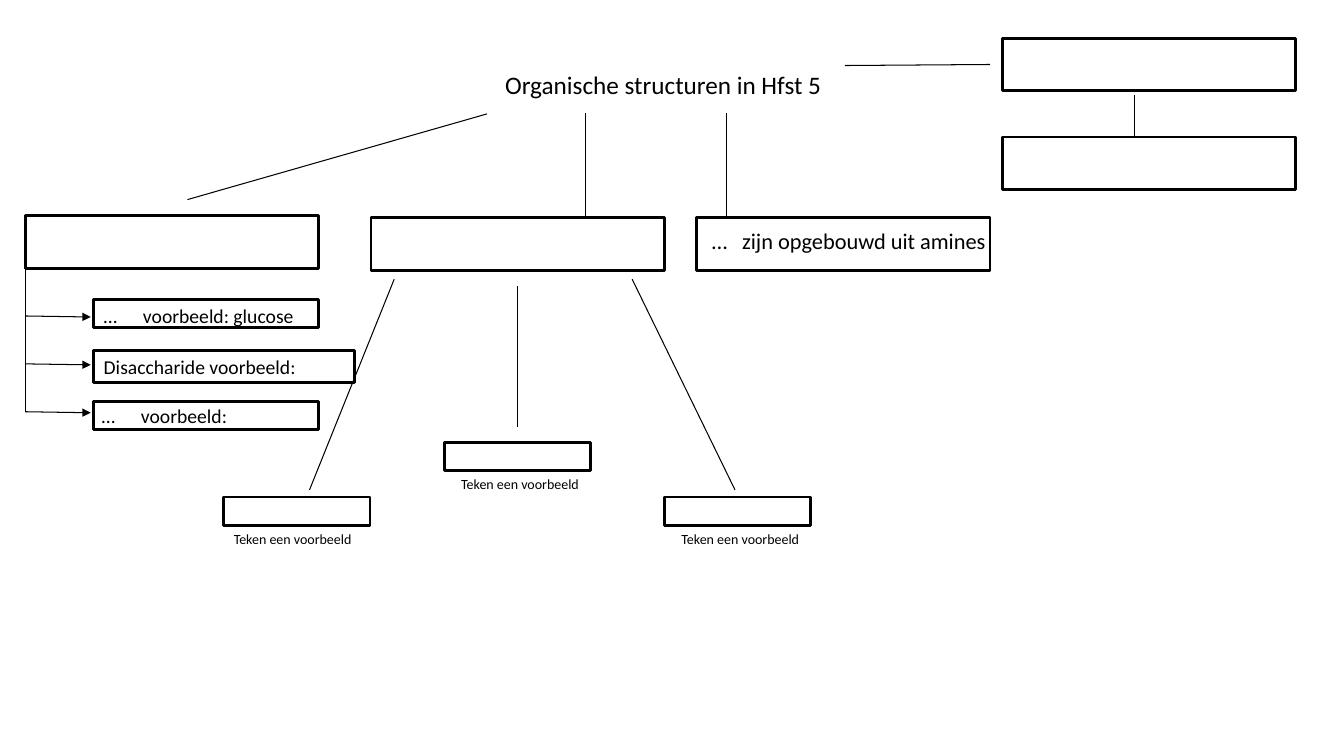
from lxml import etree
from pptx import Presentation
from pptx.dml.color import RGBColor
from pptx.enum.shapes import MSO_CONNECTOR, MSO_SHAPE
from pptx.enum.text import MSO_ANCHOR, MSO_AUTO_SIZE, PP_ALIGN
from pptx.oxml.ns import qn
from pptx.util import Inches, Pt

STRAIGHT = MSO_CONNECTOR.STRAIGHT
RECT = MSO_SHAPE.RECTANGLE
TOP = MSO_ANCHOR.TOP
NO_FIT = MSO_AUTO_SIZE.NONE
LEFT = PP_ALIGN.LEFT
BLACK = "000000"
BOX_W, BOX_H = 2.91, 0.52
SMALL_W, SMALL_H = 1.45, 0.28


def rgb(value):
    return RGBColor.from_string(value)


def set_text(sp, text, size, tab=None, inset=0.1):
    tf = sp.text_frame
    frame = {"word_wrap": False, "auto_size": NO_FIT, "vertical_anchor": TOP,
             "margin_left": Inches(inset), "margin_right": Inches(0.1),
             "margin_top": Inches(0.05), "margin_bottom": Inches(0.05)}
    for name, value in frame.items():
        setattr(tf, name, value)
    p = tf.paragraphs[0]
    p.alignment = LEFT
    p.line_spacing = 1.0
    if tab:
        tabs = etree.SubElement(p._p.get_or_add_pPr(), qn("a:tabLst"))
        etree.SubElement(tabs, qn("a:tab"), pos=str(Inches(tab)), algn="l")
    r = p.add_run()
    r.text = text
    for name, value in {"name": "Calibri", "size": Pt(size), "bold": False}.items():
        setattr(r.font, name, value)
    r.font.color.rgb = rgb(BLACK)


def add_label(s, box, text, size, tab=None, inset=0.1):
    sp = s.shapes.add_textbox(*map(Inches, box))
    set_text(sp, text, size, tab, inset)


def add_box(s, x, y, w=BOX_W, h=BOX_H):
    sp = s.shapes.add_shape(RECT, *map(Inches, (x, y, w, h)))
    sp.shadow.inherit = False
    sp.fill.background()
    sp.line.color.rgb = rgb(BLACK)
    sp.line.width = Pt(2)


def add_line(s, x1, y1, x2, y2, arrow=False):
    c = s.shapes.add_connector(STRAIGHT, *map(Inches, (x1, y1, x2, y2)))
    c.line.color.rgb = rgb(BLACK)
    c.line.width = Pt(0.75)
    if arrow:
        etree.SubElement(c.line._get_or_add_ln(), qn("a:tailEnd"), type="triangle")
    etree.SubElement(c._element.spPr, qn("a:effectLst"))


def add_title(s, x, y, w, h):
    sp = s.shapes.title
    sp.left, sp.top, sp.width, sp.height = map(Inches, (x, y, w, h))
    set_text(sp, "Organische structuren in Hfst 5", 18)
    add_line(s, x - 0.08, y + 0.49, 1.86, 1.98)
    for dx in (0.9, 2.3):
        add_line(s, x + dx, y + 0.48, x + dx, y + 1.5)
    add_line(s, x + w + 0.12, y + 0.01, 9.82, y)


def add_right_branch(s, x, y):
    gap = 0.46
    for i in range(2):
        add_box(s, x, y + i * (BOX_H + gap))
    add_line(s, x + 1.31, y + BOX_H + 0.04, x + 1.31, y + BOX_H + gap)


def add_amine_branch(s, x, y):
    add_box(s, x, y)
    add_label(s, (x, y + 0.04, 3.11, 0.36), "…\tzijn opgebouwd uit amines", 16, 0.3, 0.15)


def add_saccharide_branch(s, x, y):
    add_box(s, x, y)
    examples = [("…\tvoorbeeld: glucose", 2.23, 0.28, 0, 0),
                ("Disaccharide voorbeeld:", 2.59, 0.32, 0, 0),
                ("…\tvoorbeeld:", 2.23, 0.28, -0.02, -0.02)]
    step = 0.475
    for i, (text, w, h, dx, dy) in enumerate(examples):
        start = y + BOX_H + i * step
        end = start + step
        add_line(s, x, start, x, end)
        add_line(s, x, end, x + 0.65, end + 0.01, arrow=True)
        left, top = x + 0.68, y + 0.83 + i * 0.505
        add_box(s, left, top, w, h)
        add_label(s, (left + dx, top + dy, w, 0.33), text, 14, 0.39)


def add_drawing_branch(s, x, y):
    add_box(s, x, y)
    lines = [(0.23, 0.61, -0.61, 2.7), (1.45, 0.68, 1.45, 2.08), (2.59, 0.61, 3.61, 2.7)]
    for x1, y1, x2, y2 in lines:
        add_line(s, x + x1, y + y1, x + x2, y + y2)
    for i, (dy, dx) in enumerate([(2.77, 0), (2.23, 0.07), (2.77, 0.07)]):
        left, top = x - 1.46 + i * 2.185, y + dy
        add_box(s, left, top, SMALL_W, SMALL_H)
        add_label(s, (left + dx, top + SMALL_H, SMALL_W, 0.26), "Teken een voorbeeld", 10)


def main():
    prs = Presentation()
    prs.slide_width, prs.slide_height = Inches(13.33), Inches(7.5)
    s = prs.slides.add_slide(prs.slide_layouts[5])
    add_title(s, 4.91, 0.64, 3.35, 0.4)
    add_right_branch(s, 9.94, 0.38)
    add_saccharide_branch(s, 0.25, 2.14)
    add_drawing_branch(s, 3.68, 2.16)
    add_amine_branch(s, 6.91, 2.16)
    prs.save("out.pptx")


if __name__ == "__main__":
    main()
